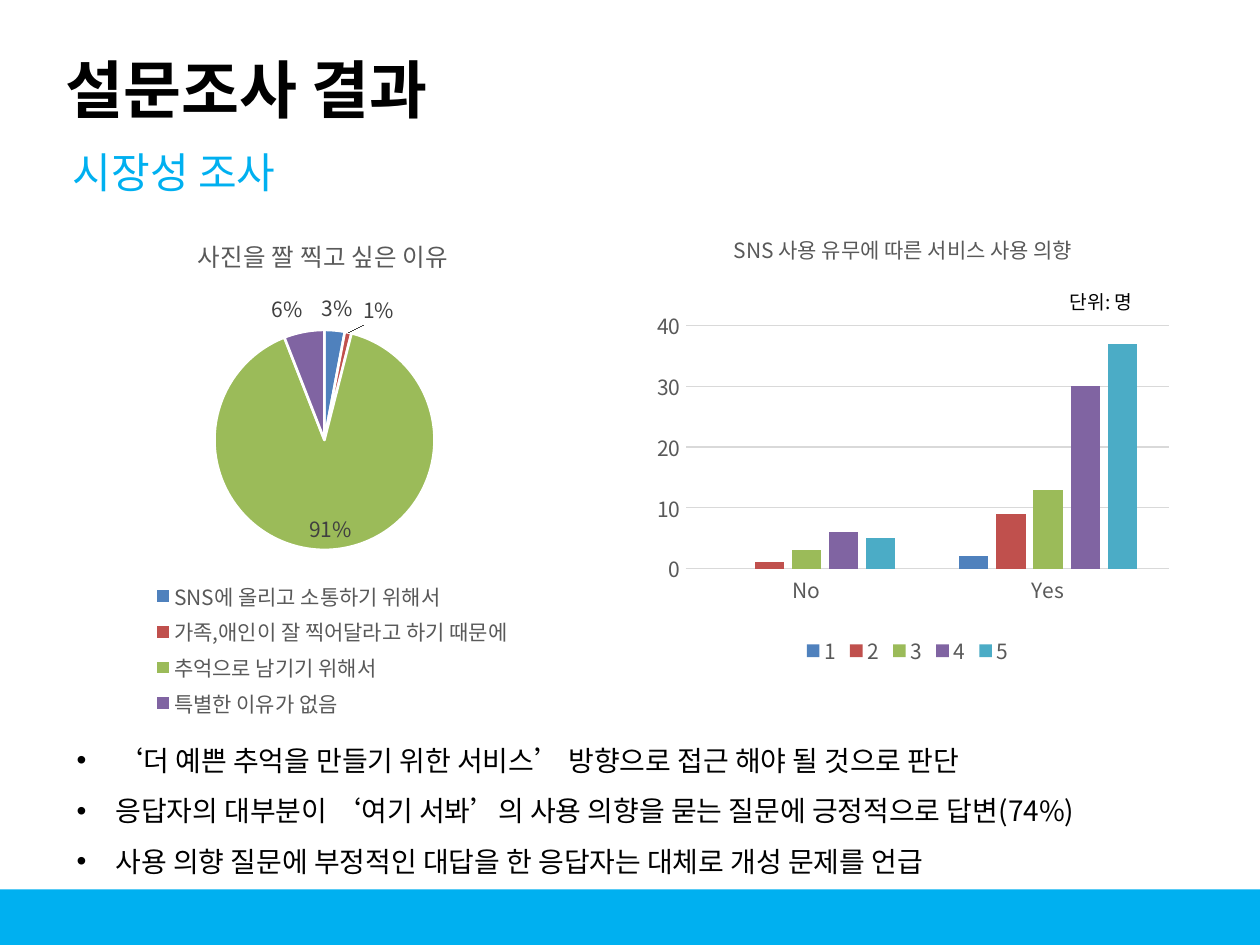
from lxml.etree import SubElement
from pptx import Presentation
from pptx.chart.data import CategoryChartData
from pptx.dml.color import RGBColor
from pptx.enum.chart import XL_CHART_TYPE, XL_LABEL_POSITION, XL_LEGEND_POSITION, XL_TICK_MARK
from pptx.enum.shapes import MSO_SHAPE
from pptx.enum.text import MSO_ANCHOR
from pptx.oxml import parse_xml
from pptx.oxml.ns import nsdecls, qn
from pptx.util import Inches, Pt

WIDTH, HEIGHT = Inches(10), Inches(7.5)
FONT = "Noto Sans CJK KR"
SKY, BLACK, GRAY, DARK_GRAY, PALE_GRAY = "00B0F0", "000000", "595959", "404040", "D9D9D9"
PALETTE = ["4F81BD", "C0504D", "9BBB59", "8064A2", "4BACC6"]
REASONS = {
    "SNS에 올리고 소통하기 위해서": 3,
    "가족,애인이 잘 찍어달라고 하기 때문에": 1,
    "추억으로 남기기 위해서": 91,
    "특별한 이유가 없음": 6,
}
INTENTIONS = {"1": (None, 2), "2": (1, 9), "3": (3, 13), "4": (6, 30), "5": (5, 37)}
FINDINGS = [
    "‘더 예쁜 추억을 만들기 위한 서비스’ 방향으로 접근 해야 될 것으로 판단",
    "응답자의 대부분이 ‘여기 서봐’의 사용 의향을 묻는 질문에 긍정적으로 답변(74%)",
    "사용 의향 질문에 부정적인 대답을 한 응답자는 대체로 개성 문제를 언급",
]


def color(value):
    """Turn a hex string into a colour."""
    return RGBColor.from_string(value)


def place(left, top, width, height):
    """Turn inches on the ten by seven and a half slide into a box."""
    return [Inches(length) for length in (left, top, width, height)]


def style(font, size, tint, bold=False):
    """Give a font its face, size, colour and weight."""
    font.size, font.bold, font.name = Pt(size), bold, FONT
    font.color.rgb = color(tint)
    SubElement(font._rPr, qn("a:ea")).set("typeface", FONT)


def add_text(slide, box, lines, size, tint, bold=False, anchor=MSO_ANCHOR.TOP, wrap=True):
    """Add a text box and return its paragraphs."""
    text_frame = slide.shapes.add_textbox(*box).text_frame
    text_frame.word_wrap = wrap
    text_frame.vertical_anchor = anchor
    text_frame.text = "\n".join(lines)
    for paragraph in text_frame.paragraphs:
        for run in paragraph.runs:
            style(run.font, size, tint, bold)
    return text_frame.paragraphs


def add_findings(slide, box):
    """Add the bulleted findings."""
    for paragraph in add_text(slide, box, FINDINGS, 16, BLACK):
        paragraph.line_spacing = 1.5
        properties = paragraph._p.get_or_add_pPr()
        properties.set("marL", str(Inches(0.31)))
        properties.set("indent", str(-Inches(0.31)))
        SubElement(properties, qn("a:buFont")).set("typeface", "Arial")
        SubElement(properties, qn("a:buChar")).set("char", "•")


def set_layout(element, index, inner=False, **shares):
    """Fix a chart part at shares of the chart's box."""
    for layout in element.findall(qn("c:layout")):
        element.remove(layout)
    target = '<c:layoutTarget val="inner"/>' if inner else ""
    modes = "".join(f'<c:{key}Mode val="edge"/>' for key in "xy")
    values = "".join(f'<c:{key} val="{share}"/>' for key, share in shares.items())
    element.insert(index, parse_xml(
        f'<c:layout {nsdecls("c")}><c:manualLayout>{target}{modes}{values}'
        "</c:manualLayout></c:layout>"))


def add_chart(slide, box, kind, data, title, title_size, title_at, plot_at):
    """Add a chart with a title, a legend below and a fixed plot area."""
    chart = slide.shapes.add_chart(kind, *box, data).chart
    style(chart.font, 10, BLACK)
    chart.has_title = True
    chart.chart_title.text_frame.text = title
    style(chart.chart_title.text_frame.paragraphs[0].runs[0].font, title_size, GRAY)
    set_layout(chart.chart_title._element, 1, **title_at)
    chart.has_legend = True
    chart.legend.position = XL_LEGEND_POSITION.BOTTOM
    chart.legend.include_in_layout = False
    style(chart.legend.font, 12, GRAY)
    set_layout(chart._chartSpace.chart.plotArea, 0, inner=True, **plot_at)
    return chart


def add_reasons(slide, box):
    """Add the pie of reasons for taking good photos."""
    data = CategoryChartData()
    data.categories = list(REASONS)
    data.add_series("Series 1", list(REASONS.values()))
    chart = add_chart(slide, box, XL_CHART_TYPE.PIE, data, "사진을 짤 찍고 싶은 이유", 14,
                      dict(x=0.25, y=0.05), dict(x=0.29, y=0.24, w=0.43, h=0.42))
    set_layout(chart.legend._element, 1, x=0.14, y=0.71, w=0.76, h=0.28)
    plot = chart.plots[0]
    for index, tint in enumerate(PALETTE[:len(REASONS)]):
        point = plot.series[0].points[index]
        point.format.fill.solid()
        point.format.fill.fore_color.rgb = color(tint)
        point.format.line.color.rgb = color("FFFFFF")
        point.format.line.width = Pt(1.5)
    labels = plot.series[0].data_labels
    labels.show_value = True
    labels.number_format, labels.number_format_is_linked = '0"%"', False
    labels.position = XL_LABEL_POSITION.BEST_FIT
    style(labels.font, 12, DARK_GRAY)


def add_intentions(slide, box):
    """Add the columns of intention to use the service."""
    data = CategoryChartData()
    data.categories = ["No", "Yes"]
    for name, values in INTENTIONS.items():
        data.add_series(name, values)
    chart = add_chart(slide, box, XL_CHART_TYPE.COLUMN_CLUSTERED, data,
                      "SNS 사용 유무에 따른 서비스 사용 의향", 12,
                      dict(x=0.18, y=0.05), dict(x=0.1, y=0.26, w=0.87, h=0.52))
    plot = chart.plots[0]
    plot.gap_width, plot.overlap, plot.vary_by_categories = 219, -27, False
    for series, tint in zip(plot.series, PALETTE):
        series.format.fill.solid()
        series.format.fill.fore_color.rgb = color(tint)
    for axis in (chart.category_axis, chart.value_axis):
        axis.major_tick_mark = axis.minor_tick_mark = XL_TICK_MARK.NONE
        style(axis.tick_labels.font, 12, GRAY)
    chart.value_axis.minimum_scale, chart.value_axis.maximum_scale = 0, 40
    chart.value_axis.major_unit = 10
    chart.value_axis.format.line.fill.background()
    for line in (chart.category_axis.format.line, chart.value_axis.major_gridlines.format.line):
        line.color.rgb = color(PALE_GRAY)
        line.width = Pt(0.75)


def add_footer(slide, box):
    """Add the plain band at the bottom."""
    band = slide.shapes.add_shape(MSO_SHAPE.RECTANGLE, *box)
    band.shadow.inherit = False
    band.fill.solid()
    band.fill.fore_color.rgb = color(SKY)
    band.line.fill.background()


def main():
    """Build the survey result slide."""
    presentation = Presentation()
    presentation.slide_width, presentation.slide_height = WIDTH, HEIGHT
    slide = presentation.slides.add_slide(presentation.slide_layouts[6])
    add_footer(slide, place(0, 7.06, 10, 0.44))
    add_text(slide, place(0.48, 1.01, 7.87, 0.71), ["시장성 조사"], 24, SKY,
             anchor=MSO_ANCHOR.MIDDLE)
    add_text(slide, place(0.42, 0.35, 3.41, 0.71), ["설문조사 결과"], 36, BLACK,
             bold=True, wrap=False)
    add_findings(slide, place(0.51, 5.72, 9.29, 1.26))
    add_intentions(slide, place(5, 1.62, 4.41, 3.71))
    add_text(slide, place(8.39, 2.25, 0.83, 0.29), ["단위: 명"], 11, BLACK,
             anchor=MSO_ANCHOR.MIDDLE)
    add_reasons(slide, place(0.51, 1.62, 4.09, 4.16))
    presentation.save("out.pptx")


if __name__ == "__main__":
    main()
